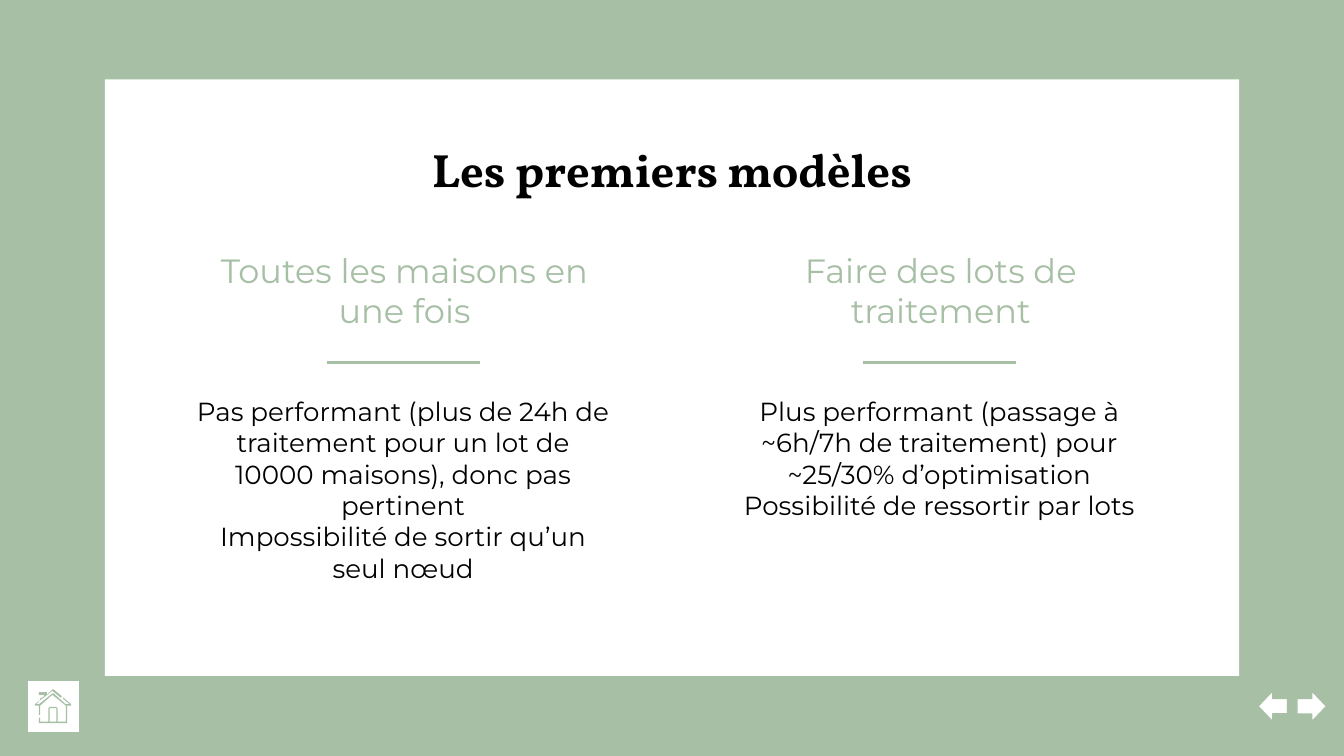
import pptx
import pptx.dml.color
import pptx.enum.shapes
import pptx.enum.text
import pptx.util
from lxml import etree

Inches = pptx.util.Inches
Pt = pptx.util.Pt
RGBColor = pptx.dml.color.RGBColor
MSO_SHAPE = pptx.enum.shapes.MSO_SHAPE
ANCHOR = pptx.enum.text.MSO_ANCHOR

SAGE = RGBColor(0xA6, 0xBF, 0xA5)
WHITE = RGBColor(0xFF, 0xFF, 0xFF)
BLACK = RGBColor(0x00, 0x00, 0x00)

TITLE = "Les premiers modèles"
COLUMNS = [
    ("Toutes les maisons en une fois",
     ["Pas performant (plus de 24h de traitement pour un lot de 10000 maisons), "
      "donc pas pertinent",
      "Impossibilité de sortir qu’un seul nœud"]),
    ("Faire des lots de traitement",
     ["Plus performant (passage à ~6h/7h de traitement) pour ~25/30% d’optimisation",
      "Possibilité de ressortir par lots"]),
]
COLUMN_CENTER, COLUMN_STEP, COLUMN_WIDTH = 3.0, 3.99, 3.29
RULE_WIDTH, RULE_TOP = 1.14, 2.7
ARROWS = [(9.36, 0), (9.65, 180)]  # left edge, rotation

# Contours of the house icon; the inner ones are holes
HOUSE = [
    # walls, roof and chimney, as one thin band
    [(0.39, 5.13), (0.35, 5.17), (0.35, 5.15), (0.29, 5.15), (0.29, 5.17),
     (0.3, 5.17), (0.3, 5.21), (0.26, 5.24), (0.26, 5.25), (0.29, 5.25),
     (0.29, 5.32), (0.3, 5.32), (0.3, 5.25), (0.39, 5.17), (0.49, 5.25),
     (0.49, 5.37), (0.43, 5.37), (0.43, 5.27), (0.42, 5.26), (0.37, 5.26),
     (0.36, 5.27), (0.36, 5.37), (0.3, 5.37), (0.3, 5.34), (0.29, 5.34),
     (0.29, 5.38), (0.5, 5.38), (0.5, 5.25), (0.53, 5.25), (0.53, 5.24),
     (0.47, 5.19), (0.47, 5.2), (0.52, 5.24), (0.49, 5.24), (0.4, 5.16),
     (0.39, 5.16), (0.29, 5.24), (0.27, 5.24), (0.3, 5.21), (0.34, 5.18),
     (0.39, 5.14), (0.45, 5.19), (0.46, 5.19), (0.46, 5.18), (0.4, 5.13)],
    # chimney
    [(0.33, 5.17), (0.33, 5.18), (0.3, 5.2), (0.3, 5.17)],
    # door
    [(0.42, 5.27), (0.42, 5.37), (0.37, 5.37), (0.37, 5.27)],
]


def add_text(slide, box, paragraphs, font="Montserrat", size=14, color=BLACK,
             bold=False, anchor=ANCHOR.TOP):
    frame = slide.shapes.add_textbox(*map(Inches, box)).text_frame
    frame.word_wrap = True
    frame.vertical_anchor = anchor
    frame.margin_left = frame.margin_right = Inches(0.1)
    frame.margin_top = frame.margin_bottom = Inches(0.1)
    for index, text in enumerate(paragraphs):
        paragraph = frame.paragraphs[0] if index == 0 else frame.add_paragraph()
        paragraph.alignment = pptx.enum.text.PP_ALIGN.CENTER
        run = paragraph.add_run()
        run.text = text
        run.font.name = font
        run.font.size = Pt(size)
        run.font.bold = bold
        run.font.color.rgb = color


def paint(shape, fill, outlined=False):
    shape.shadow.inherit = False
    shape.fill.solid()
    shape.fill.fore_color.rgb = fill
    if outlined:
        shape.line.color.rgb = SAGE
        shape.line.width = Pt(0.75)
    else:
        shape.line.fill.background()


def add_white_shape(slide, kind, box, outlined=True):
    shape = slide.shapes.add_shape(kind, *map(Inches, box))
    paint(shape, WHITE, outlined)
    return shape


def add_rule(slide, center):
    left, right = center - RULE_WIDTH / 2, center + RULE_WIDTH / 2
    rule = slide.shapes.add_connector(
        pptx.enum.shapes.MSO_CONNECTOR.STRAIGHT,
        Inches(left), Inches(RULE_TOP), Inches(right), Inches(RULE_TOP))
    rule.line.color.rgb = SAGE
    rule.line.width = Pt(1.5)
    etree.SubElement(rule._element.spPr, pptx.oxml.ns.qn("a:effectLst"))


def add_house(slide):
    contours = [[(Inches(x), Inches(y)) for x, y in contour] for contour in HOUSE]
    builder = slide.shapes.build_freeform(*contours[0][0])
    for contour in contours:
        if contour is not contours[0]:
            builder.move_to(*contour[0])
        builder.add_line_segments(contour[1:], close=True)
    paint(builder.convert_to_shape(), SAGE)


def main():
    deck = pptx.Presentation()
    deck.slide_width = Inches(10)
    deck.slide_height = deck.slide_width * 9 // 16
    slide = deck.slides.add_slide(deck.slide_layouts[6])
    slide.background.fill.solid()
    slide.background.fill.fore_color.rgb = SAGE

    add_white_shape(slide, MSO_SHAPE.RECTANGLE, (0.78, 0.59, 8.44, 4.44), outlined=False)
    add_text(slide, (0.78, 0.95, 8.44, 0.6), [TITLE], font="Vollkorn", size=25, bold=True)

    for index, (heading, details) in enumerate(COLUMNS):
        center = COLUMN_CENTER + index * COLUMN_STEP
        left = center - COLUMN_WIDTH / 2
        add_text(slide, (left + 0.01, 2.08, COLUMN_WIDTH, 0.48), [heading],
                 size=18, color=SAGE, anchor=ANCHOR.BOTTOM)
        add_text(slide, (left, 2.84, COLUMN_WIDTH, 1.35), details)
        add_rule(slide, center)

    for left, rotation in ARROWS:
        arrow = add_white_shape(slide, MSO_SHAPE.LEFT_ARROW, (left, 5.14, 0.22, 0.23))
        arrow.rotation = rotation
    add_white_shape(slide, MSO_SHAPE.RECTANGLE, (0.2, 5.06, 0.39, 0.39))
    add_house(slide)
    deck.save("out.pptx")


if __name__ == "__main__":
    main()
